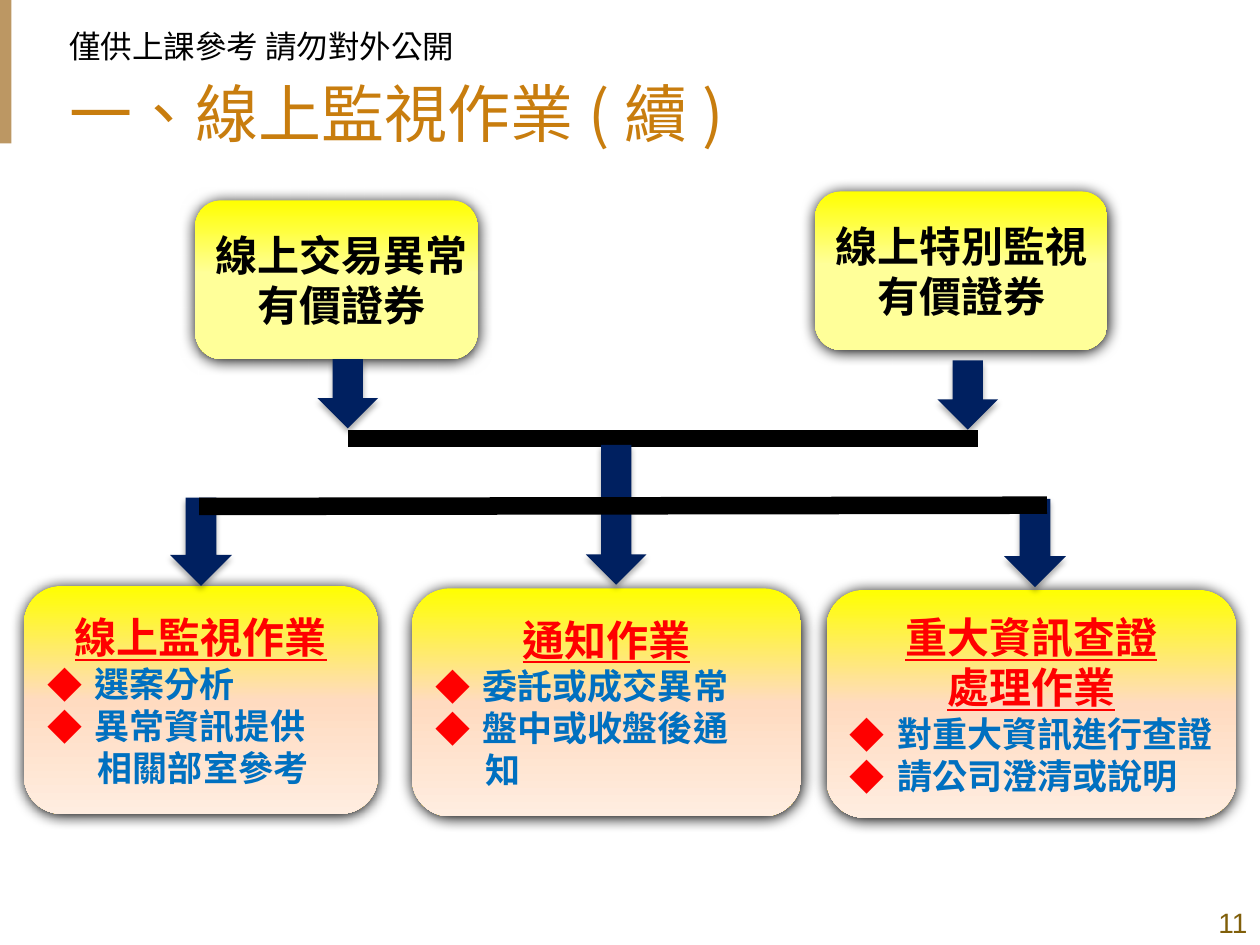
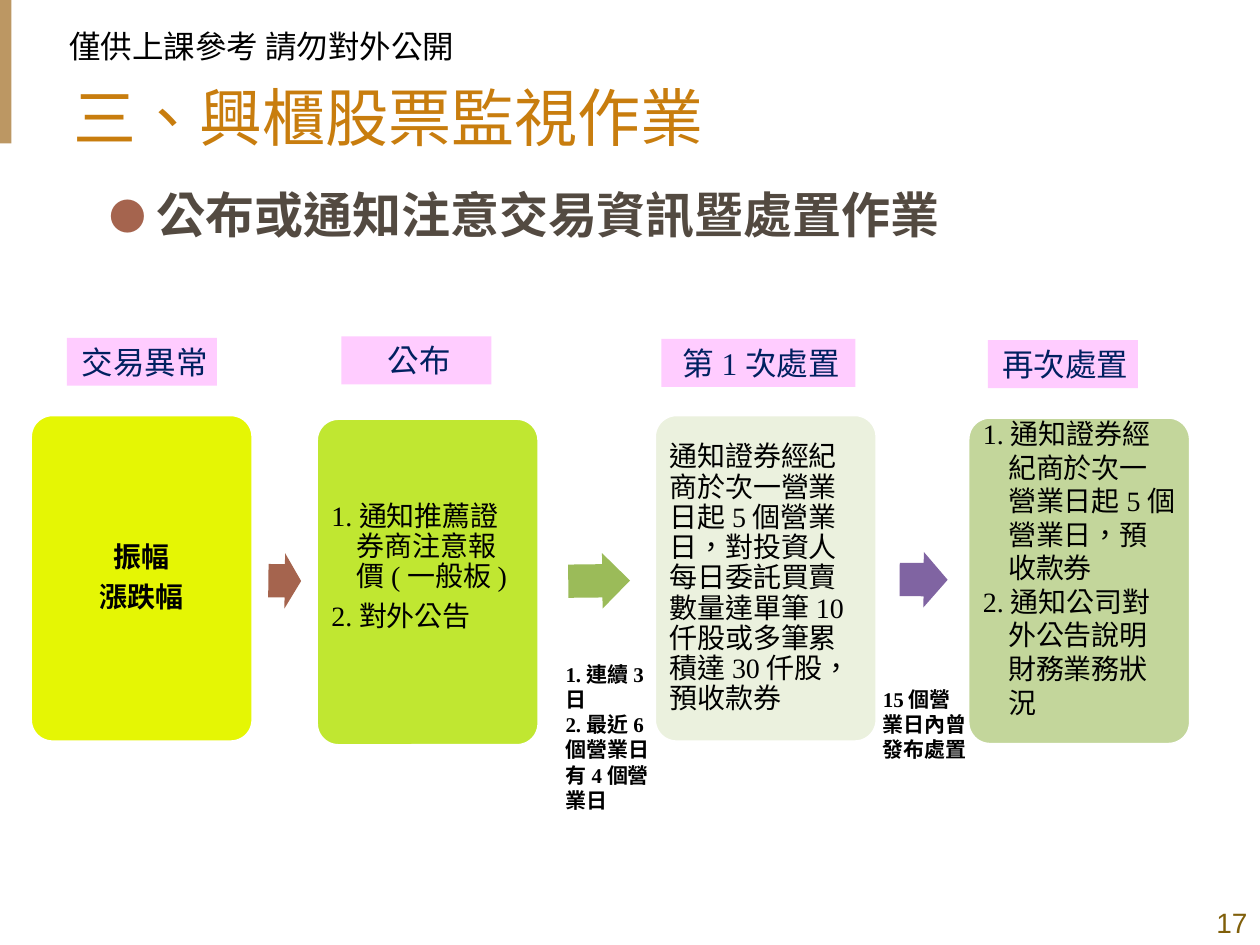
from lxml.etree import SubElement
from pptx import Presentation
from pptx.dml.color import RGBColor
from pptx.enum.shapes import MSO_CONNECTOR, MSO_SHAPE
from pptx.enum.text import MSO_ANCHOR, MSO_AUTO_SIZE, PP_ALIGN
from pptx.oxml.ns import qn
from pptx.util import Pt

BLACK = RGBColor(0, 0, 0)
WHITE = RGBColor(255, 255, 255)
TAN = RGBColor(0xBC, 0x97, 0x63)
OCHRE = RGBColor(0xC8, 0x7D, 0x0E)
OLIVE = RGBColor(0x80, 0x5F, 0x0A)
NAVY = RGBColor(0, 0x20, 0x60)
RED = RGBColor(255, 0, 0)
BLUE = RGBColor(0, 0x70, 0xC0)
YELLOW = RGBColor(255, 255, 0)
LEMON = RGBColor(255, 255, 0x99)
PEACH = RGBColor(0xFF, 0xDB, 0xC0)
CREAM = RGBColor(0xFF, 0xED, 0xE0)
PINK = RGBColor(0xFF, 0xCC, 0xFF)
BROWN = RGBColor(0x53, 0x4A, 0x41)
RUST = RGBColor(0xA5, 0x64, 0x4E)
GREEN = RGBColor(0x9B, 0xBB, 0x59)
PURPLE = RGBColor(0x80, 0x64, 0xA2)
ACID = RGBColor(0xE5, 0xF6, 0x04)
LIME = RGBColor(0xC0, 0xE7, 0x31)
PALE = RGBColor(0xEB, 0xF1, 0xDE)
SAGE = RGBColor(0xC3, 0xD6, 0x9B)

HAN, ROMAN, SANS = "Noto Sans CJK SC", "Times New Roman", "Arial"
LEFT, MID, RIGHT = PP_ALIGN.LEFT, PP_ALIGN.CENTER, PP_ALIGN.RIGHT
SNUG = (3.6,) * 4
WIDE = (7.2, 3.6, 7.2, 3.6)

NOTE = dict(size=18)
TITLE = dict(size=36, color=OCHRE, lead=0.9)
PAGE = dict(size=16, color=OLIVE, face=SANS, align=RIGHT)
CAUSE = dict(size=24, bold=True)
CAUSE_MID = dict(CAUSE, align=MID)
HEAD = dict(CAUSE_MID, color=RED, under=True)
CONT = dict(size=20, color=BLUE, bold=True)
ITEM = dict(CONT, left=27, first=-27, mark=("◆", RED, 100))
TOPIC = dict(size=28, color=BROWN, bold=True, left=27, first=-27,
             before=6, mark=("●", RUST, 75))
STEP = dict(size=16, face=ROMAN, lead=0.9, after=5.6)
CORE = dict(STEP, bold=True, align=MID)
HANG = dict(STEP, left=14.4, first=-14.4)
DUTY = dict(HANG, lead=1, after=0)
TERM = dict(size=12, face=ROMAN, bold=True)
TAG = dict(size=18, color=NAVY, face=ROMAN, align=MID, left=3)

NOTICE = "僅供上課參考 請勿對外公開"

CAUSES = [
    ((111.6, 114.5, 161.3, 90.7),
     [("線上交易異常", CAUSE), ("有價證券", CAUSE_MID)]),
    ((465.8, 109.4, 167, 90.7),
     [("線上特別監視", CAUSE_MID), ("有價證券", CAUSE_MID)]),
]
TASKS = [
    ((13.7, 334.8, 202.3, 130.3),
     [("線上監視作業", HEAD), ("選案分析", ITEM), ("異常資訊提供", ITEM),
      ("相關部室參考", dict(CONT, left=28.8))]),
    ((235.4, 336.2, 222.5, 130.3),
     [("通知作業", HEAD), ("委託或成交異常", ITEM), ("盤中或收盤後通", ITEM),
      ("知", dict(CONT, first=28.8))]),
    ((472.3, 337, 234, 130.3),
     [("重大資訊查證", HEAD), ("處理作業", HEAD),
      ("對重大資訊進行查證", ITEM), ("請公司澄清或說明", ITEM)]),
]
DROPS = [(181.4, 205.2, 34.6, 39.6), (535.7, 205.9, 34.6, 39.6),
         (97.2, 284.4, 35.3, 50.4), (334.8, 254.2, 34.6, 79.9),
         (573.8, 285.1, 35.3, 50.4)]
JOIN = (558.7, 250.6, 198.7, 250.6)
SPLIT = (598.3, 288.7, 113.8, 289.4)
WARM = [(0, YELLOW), (46, LEMON)]
BLEND = [(0, YELLOW), (50, PEACH), (100, CREAM)]
GLOW = (100, 8.5, 1)
SOFT = (32, 3.5, 2.2)

STEPS = [
    (17.3, 236.9, ACID, 5, [("振幅", CORE), ("漲跌幅", CORE)]),
    (180.7, 239, LIME, 22,
     [("1.通知推薦證券商注意報價(一般板)", HANG), ("2.對外公告", STEP)]),
    (373.9, 236.9, PALE, 5,
     [("通知證券經紀商於次一營業日起5個營業日，對投資人每日委託買賣"
       "數量達單筆10仟股或多筆累積達30仟股，預收款券", STEP)]),
    (553, 238.3, SAGE, 20,
     [("1.通知證券經紀商於次一營業日起5個營業日，預收款券", DUTY),
      ("2.通知公司對外公告說明財務業務狀況", DUTY)]),
]
ARROWS = [(153.4, 316.1, 18.7, 0.7, RUST), (324.7, 316.1, 35.3, -0.6, GREEN),
          (514.1, 315.4, 27.4, 0.4, PURPLE)]
TERMS = [((316.1, 374.4, 62.6, 94.3),
          [("1.連續3日", TERM), ("2.最近6個營業日有4個營業日", TERM)]),
         ((497.5, 388.8, 62.6, 51.1), [("15個營業日內曾發布處置", TERM)])]
TAGS = [(38.2, 193, 85.7, "交易異常"), (195.1, 192.2, 85.7, "公布"),
        (378, 193.7, 110.9, "第1次處置"), (564.5, 194.4, 85.7, "再次處置")]


def points(box):
    return [Pt(n) for n in box]


def add_mark(props, mark):
    char, color, size = mark
    tint = SubElement(props, qn("a:buClr"))
    SubElement(tint, qn("a:srgbClr"), val=str(color))
    SubElement(props, qn("a:buSzPct"), val=str(size * 1000))
    SubElement(props, qn("a:buFont"), typeface=HAN)
    SubElement(props, qn("a:buChar"), char=char)


def style(para, size, color=BLACK, face=HAN, bold=False, under=False,
          align=LEFT, left=0, first=0, lead=1, before=0, after=0, mark=None):
    para.alignment = align
    para.line_spacing = Pt(round(size * 1.2 * lead, 1))
    para.space_before, para.space_after = Pt(before), Pt(after)
    props = para._p.get_or_add_pPr()
    props.set("marL", str(Pt(left)))
    props.set("indent", str(Pt(first)))
    if mark:
        add_mark(props, mark)
    for run in para.runs:
        font = run.font
        font.size, font.name = Pt(size), face
        font.bold, font.underline = bold, under
        font.color.rgb = color
        look = run._r.get_or_add_rPr()
        look.set("lang", "zh-TW")
        east = SubElement(look, qn("a:ea"), typeface=HAN)
        look.find(qn("a:latin")).addnext(east)


def write(shape, rows, pad=WIDE, anchor=MSO_ANCHOR.TOP, wrap=True):
    frame = shape.text_frame
    frame.text = "\n".join(text for text, look in rows)
    frame.word_wrap, frame.auto_size = wrap, MSO_AUTO_SIZE.NONE
    frame.vertical_anchor = anchor
    (frame.margin_left, frame.margin_top,
     frame.margin_right, frame.margin_bottom) = points(pad)
    for para, (text, look) in zip(frame.paragraphs, rows):
        style(para, **look)


def add_text(slide, box, rows, **opts):
    write(slide.shapes.add_textbox(*points(box)), rows, **opts)


def add_form(slide, kind, box, fill, shade=None):
    shape = slide.shapes.add_shape(kind, *points(box))
    shape.line.fill.background()
    shape.shadow.inherit = False
    if isinstance(fill, list):
        shape.fill.gradient()
        shape.fill.gradient_angle = 270
        stops = next(shape._element.spPr.iter(qn("a:gsLst")))
        for stop in list(stops):
            stops.remove(stop)
        for spot, color in fill:
            stop = SubElement(stops, qn("a:gs"), pos=str(spot * 1000))
            SubElement(stop, qn("a:srgbClr"), val=str(color))
    else:
        shape.fill.solid()
        shape.fill.fore_color.rgb = fill
    if shade:
        alpha, blur, dist = shade
        cast = SubElement(
            shape._element.spPr.find(qn("a:effectLst")), qn("a:outerShdw"),
            blurRad=str(Pt(blur)), dist=str(Pt(dist)), dir="5400000",
            algn="ctr", rotWithShape="0")
        tint = SubElement(cast, qn("a:srgbClr"), val=str(BLACK))
        SubElement(tint, qn("a:alpha"), val=str(alpha * 1000))
    return shape


def add_bar(slide, ends):
    bar = slide.shapes.add_connector(MSO_CONNECTOR.STRAIGHT, *points(ends))
    bar.line.color.rgb = BLACK
    bar.line.width = Pt(10)
    SubElement(bar._element.spPr, qn("a:effectLst"))


def add_slide(deck, title, box, page):
    slide = deck.slides.add_slide(deck.slide_layouts[5])
    add_form(slide, MSO_SHAPE.RECTANGLE, (0, 0, 6.5, 82), TAN)
    add_text(slide, (653.8, 513.5, 62.6, 26.5), [(page, PAGE)],
             pad=SNUG, anchor=MSO_ANCHOR.BOTTOM)
    add_text(slide, (36, 12.2, 238.3, 28.8), [(NOTICE, NOTE)], pad=SNUG)
    head = slide.shapes.title
    head.left, head.top, head.width, head.height = points(box)
    write(head, [(title, TITLE)], pad=SNUG, anchor=MSO_ANCHOR.MIDDLE)
    return slide


def draw_watch(deck):
    slide = add_slide(deck, "一、線上監視作業(續)", (36, 7.2, 648, 118.8), "11")
    for group, fill in ((CAUSES, WARM), (TASKS, BLEND)):
        for box, rows in group:
            card = add_form(slide, MSO_SHAPE.ROUNDED_RECTANGLE, box, fill, GLOW)
            write(card, rows, anchor=MSO_ANCHOR.MIDDLE, wrap=False)
    add_bar(slide, JOIN)
    for box in DROPS:
        add_form(slide, MSO_SHAPE.DOWN_ARROW, box, NAVY, SOFT)
    add_bar(slide, SPLIT)


def draw_steps(deck):
    slide = add_slide(deck, "三、興櫃股票監視作業", (38.2, 23.8, 675.4, 90), "17")
    add_text(slide, (55.4, 102.2, 601.2, 51.1),
             [("公布或通知注意交易資訊暨處置作業", TOPIC)])
    for left, top, fill, foot, rows in STEPS:
        card = add_form(slide, MSO_SHAPE.ROUNDED_RECTANGLE,
                        (left, top, 127.4, 187.2), fill)
        card.adjustments[0] = 0.1
        card.line.color.rgb = WHITE
        card.line.width = Pt(2)
        write(card, rows, pad=(5, 5, 5, foot), anchor=MSO_ANCHOR.MIDDLE)
    for left, top, width, turn, fill in ARROWS:
        arrow = add_form(slide, MSO_SHAPE.RIGHT_ARROW,
                         (left, top, width, 31.7), fill)
        arrow.adjustments[0], arrow.adjustments[1] = 0.6, 0.5
        arrow.rotation = turn
    for box, rows in TERMS:
        add_text(slide, box, rows)
    for left, top, width, text in TAGS:
        tag = add_form(slide, MSO_SHAPE.RECTANGLE,
                       (left, top, width, 27.4), PINK)
        write(tag, [(text, TAG)], pad=(2.9,) * 4, anchor=MSO_ANCHOR.MIDDLE)


def main():
    deck = Presentation()
    deck.slide_width, deck.slide_height = Pt(720), Pt(540)
    draw_watch(deck)
    draw_steps(deck)
    deck.save("out.pptx")


if __name__ == "__main__":
    main()
